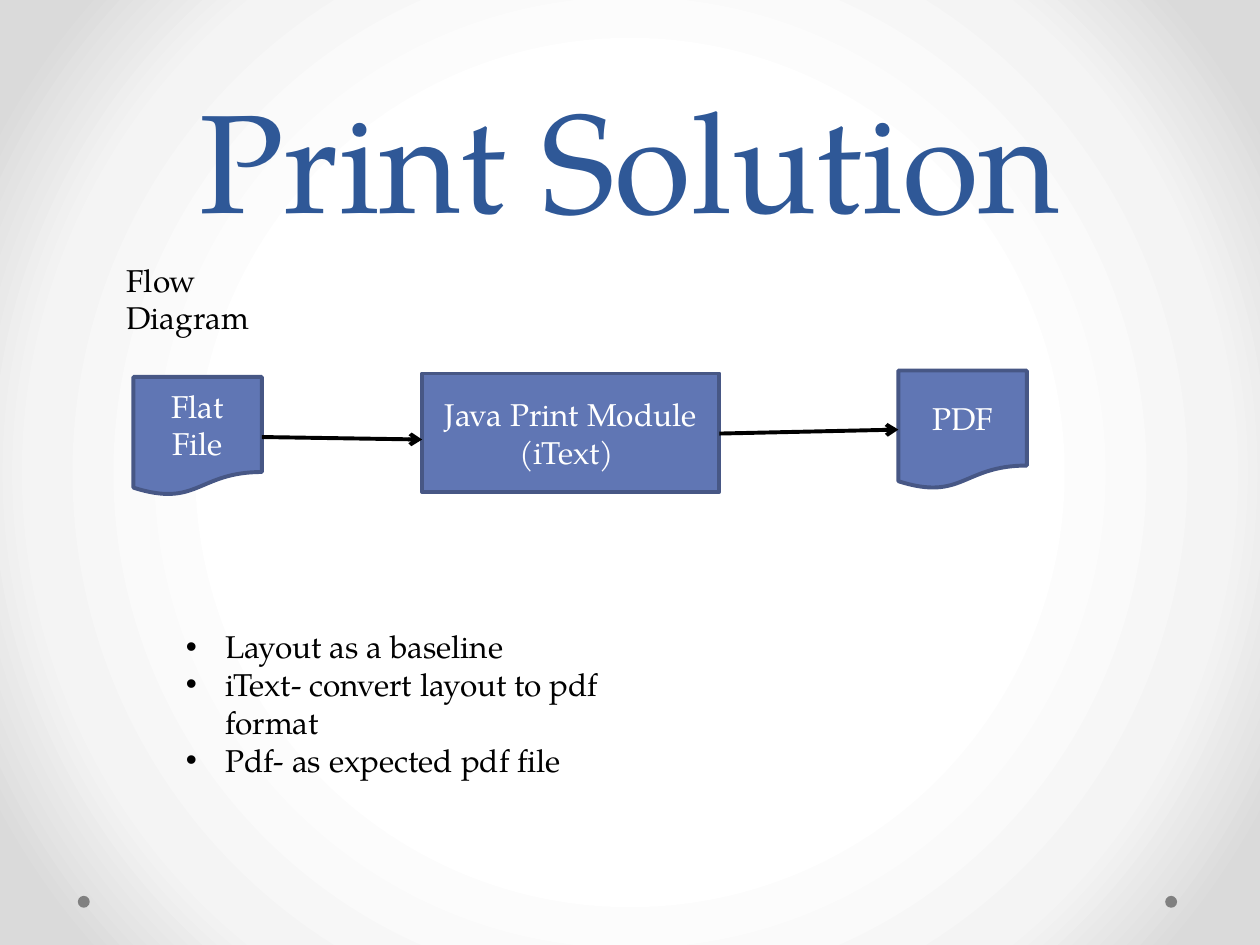
import pptx
import pptx.util
import pptx.dml.color
import pptx.enum.shapes
import pptx.enum.text
import pptx.oxml
import pptx.oxml.ns
from pptx.util import Cm

INK = {"title": "2F5897", "fill": "6076B4", "edge": "475785",
       "text": "000000", "light": "FFFFFF", "dot": "808080"}
FONT = "TeX Gyre Pagella"
KIND = pptx.enum.shapes.MSO_SHAPE
ALIGN = pptx.enum.text.PP_ALIGN
ANCHOR = pptx.enum.text.MSO_ANCHOR
STOPS = [(50, "FFFFFF"), (76, "F4F4F4"), (92, "DADADA")]


def tint(name):
    """Return the colour with this name."""
    return pptx.dml.color.RGBColor.from_string(INK[name])


def parse(tag, attrs="", body=""):
    """Return one drawing element."""
    space = pptx.oxml.ns.nsdecls("a")
    return pptx.oxml.parse_xml(f"<a:{tag} {space} {attrs}>{body}</a:{tag}>")


def write(frame, *lines, size=18, ink="text", align=ALIGN.LEFT,
          anchor=ANCHOR.TOP, bullet=None):
    """Fill a text frame with formatted lines."""
    frame.word_wrap = True
    frame.vertical_anchor = anchor
    for i, line in enumerate(lines):
        para = frame.add_paragraph() if i else frame.paragraphs[0]
        para.alignment = align
        run = para.add_run()
        run.text = line
        run.font.size = pptx.util.Pt(size)
        run.font.name = FONT
        run.font.color.rgb = tint(ink)
        if bullet:
            props = para._p.get_or_add_pPr()
            props.set("marL", str(Cm(0.79)))
            props.set("indent", str(-Cm(0.79)))
            props.append(parse("buFont", 'typeface="Arial"'))
            props.append(parse("buChar", f'char="{bullet}"'))


def label(slide, box, *lines, **form):
    """Add a text box."""
    shape = slide.shapes.add_textbox(*map(Cm, box))
    write(shape.text_frame, *lines, **form)


def block(slide, kind, box, fill, edge=None):
    """Add a flat preset shape."""
    shape = slide.shapes.add_shape(kind, *map(Cm, box))
    shape.shadow.inherit = False
    shape.fill.solid()
    shape.fill.fore_color.rgb = tint(fill)
    if edge:
        shape.line.color.rgb = tint(edge)
        shape.line.width = pptx.util.Pt(2.25)
    else:
        shape.line.fill.background()
    return shape


def arrow(slide, *ends):
    """Add a straight arrow between two points."""
    line = slide.shapes.add_connector(
        pptx.enum.shapes.MSO_CONNECTOR.STRAIGHT, *map(Cm, ends))
    line.line.color.rgb = tint("text")
    line.line.width = pptx.util.Pt(2.25)
    line.line._get_or_add_ln().append(parse("tailEnd", 'type="arrow"'))
    line._element.spPr.append(parse("effectLst"))


def backdrop(slide, box):
    """Paint the round gradient and the two corner dots."""
    slide.background.fill.gradient()
    grad = next(slide.element.iter(pptx.oxml.ns.qn("a:gradFill")))
    for child in list(grad):
        grad.remove(child)
    stops = "".join(f'<a:gs pos="{pos * 1000}"><a:srgbClr val="{ink}"/></a:gs>'
                    for pos, ink in STOPS)
    grad.append(parse("gsLst", "", stops))
    middle = " ".join(f'{side}="50000"' for side in "ltrb")
    grad.append(parse("path", 'path="circle"', f"<a:fillToRect {middle}/>"))
    left, top, wide, high = box
    for x in (1.57, wide - 1.91):
        block(slide, KIND.OVAL, (left + x, top + high - 0.99, 0.24, 0.24), "dot")


def flow(slide, box):
    """Draw the three steps and the arrows between them."""
    left, top, wide, high = box
    page = 2.59
    steps = [(KIND.FLOWCHART_DOCUMENT, 0, 0.13, page, ["Flat File"]),
             (KIND.RECTANGLE, 5.82, 0.06, 5.99, ["Java Print Module", "(iText) "]),
             (KIND.FLOWCHART_DOCUMENT, wide - page, 0, page, ["PDF"])]
    for kind, x, y, width, lines in steps:
        shape = block(slide, kind, (left + x, top + y, width, high), "fill", "edge")
        write(shape.text_frame, *lines, ink="light", align=ALIGN.CENTER,
              anchor=ANCHOR.MIDDLE)
    rises = [(1.34, 1.39), (1.27, 1.19)]
    for step, after, (start, end) in zip(steps, steps[1:], rises):
        arrow(slide, left + step[1] + step[3], top + start,
              left + after[1], top + end)


def main():
    """Build and save the slide."""
    deck = pptx.Presentation()
    deck.slide_width, deck.slide_height = Cm(25.4), Cm(19.05)
    slide = deck.slides.add_slide(deck.slide_layouts[6])
    backdrop(slide, (0, 0, 25.4, 19.05))
    label(slide, (1.9, 0.91, 21.6, 4.09), "Print Solution", size=80,
          ink="title", align=ALIGN.CENTER, anchor=ANCHOR.BOTTOM)
    flow(slide, (2.69, 7.47, 18.01, 2.39))
    label(slide, (2.3, 5.13, 4.09, 1.02), "Flow Diagram")
    label(slide, (3.5, 12.52, 10.24, 2.57), "Layout as a baseline",
          "iText- convert layout to pdf format", "Pdf- as expected pdf file",
          bullet="•")
    deck.save("out.pptx")


if __name__ == "__main__":
    main()
